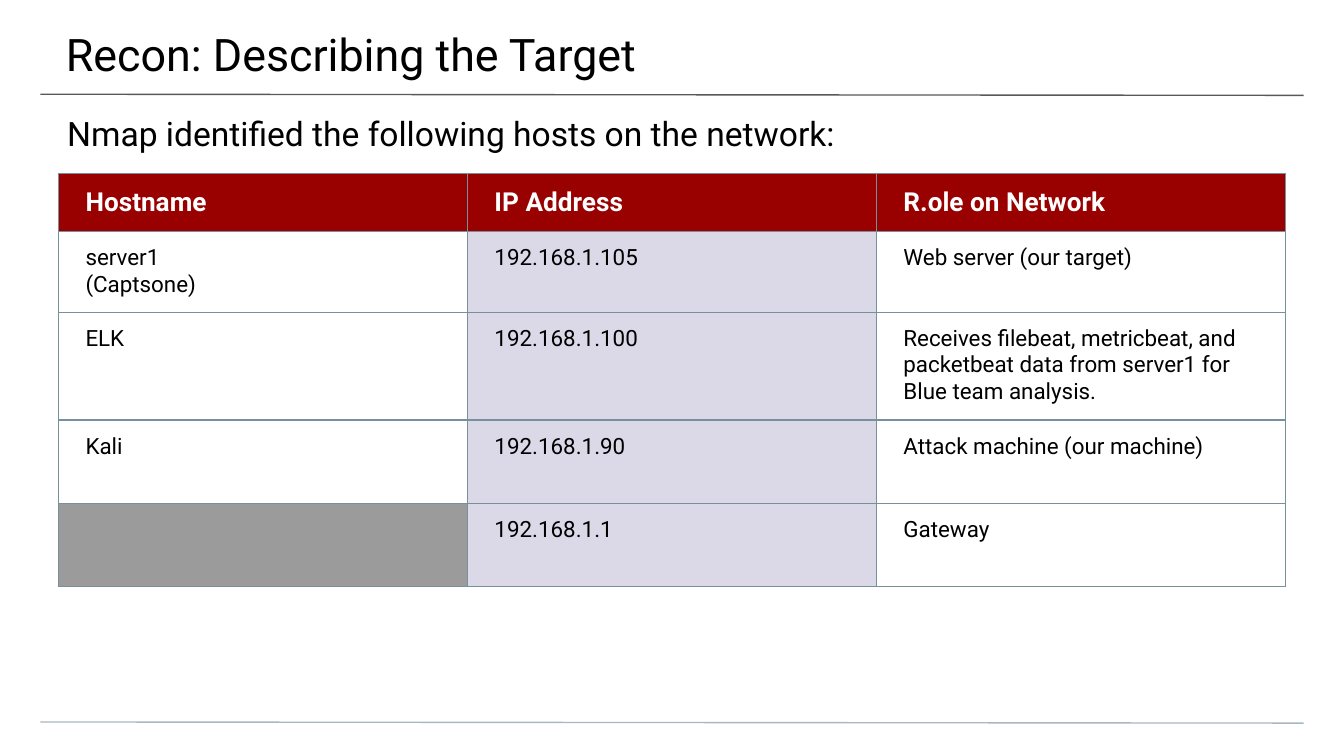
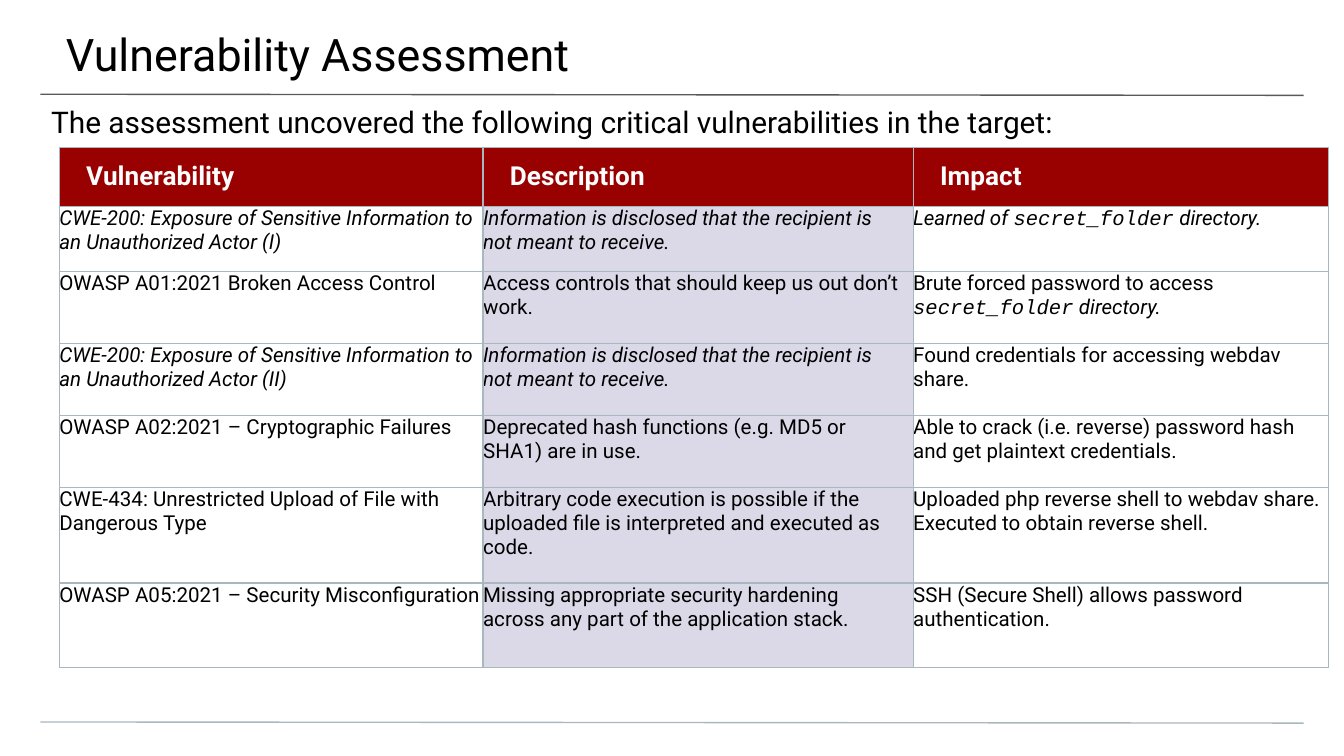
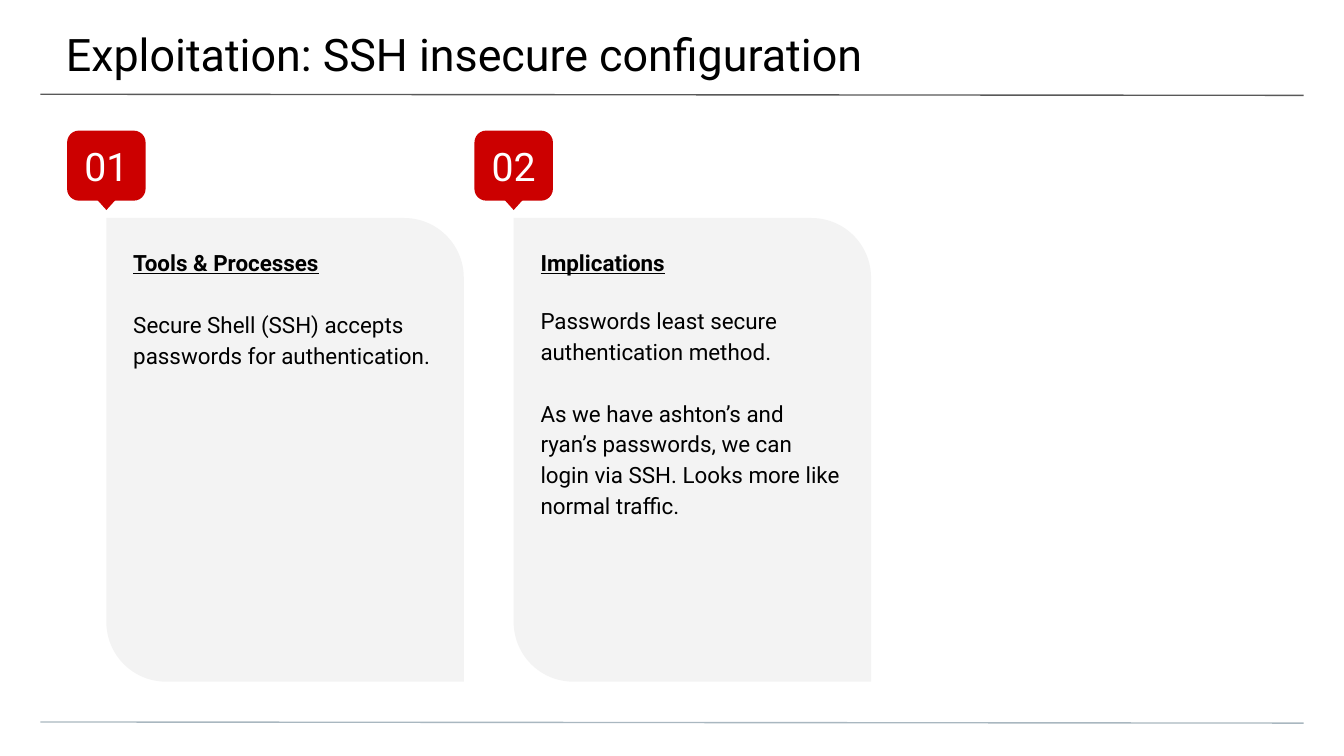
from lxml.etree import SubElement
from pptx import Presentation
from pptx.dml.color import RGBColor
from pptx.enum.shapes import MSO_CONNECTOR, MSO_SHAPE
from pptx.enum.text import MSO_ANCHOR, PP_ALIGN
from pptx.oxml.ns import qn
from pptx.util import Pt

COLORS = {
    "text": "000000", "white": "FFFFFF", "header": "990000", "badge": "CC0000",
    "panel": "F3F3F3", "lilac": "DBD9E8", "gray": "9B9B9B",
    "title_rule": "595959", "pale_rule": "A9B7C0", "slate": "78909C",
}
FONT, CODE_FONT = "Roboto", "Courier New"
CELL_INSET = (14.4, 7.2, 14.4, 7.2)
ITALIC = {"italic": True}
CODE = {"italic": True, "font": CODE_FONT}


def rgb(name):
    return RGBColor.from_string(COLORS[name])


def set_inset(obj, inset):
    """Set left, top, right and bottom margins of a text frame or table cell."""
    obj.margin_left, obj.margin_top, obj.margin_right, obj.margin_bottom = map(Pt, inset)


def add_run(p, text, size=12, color="text", font=FONT, bold=False, italic=False,
            underline=False):
    r = p.add_run()
    r.text = text
    f = r.font
    f.name, f.size, f.bold, f.italic, f.underline = font, Pt(size), bold, italic, underline
    f.color.rgb = rgb(color)


def write(tf, text, align=None, line=None, before=None, **fmt):
    """Add a paragraph; text is a string or a list of (string, format) pieces."""
    p = tf.paragraphs[0]
    if p.runs:
        p = tf.add_paragraph()
    if align is not None:
        p.alignment = align
    if line:
        p.line_spacing = line
    if before:
        p.space_before = Pt(before)
    pieces = [(text, {})] if isinstance(text, str) else text
    for piece, extra in pieces:
        for i, part in enumerate(piece.split("\n")):
            if i:
                p.add_line_break()
            add_run(p, part, **{**fmt, **extra})


def set_borders(cell, color):
    props = cell._tc.get_or_add_tcPr()
    for i, side in enumerate(("a:lnL", "a:lnR", "a:lnT", "a:lnB")):
        ln = props.makeelement(qn(side), {"w": str(Pt(0.75))})
        fill = SubElement(ln, qn("a:solidFill"))
        SubElement(fill, qn("a:srgbClr"), val=COLORS[color])
        props.insert(i, ln)


class Deck:
    def __init__(self):
        self.prs = Presentation()
        self.prs.slide_width, self.prs.slide_height = Pt(720), Pt(405)
        self.s = None

    def new_slide(self, title):
        self.s = self.prs.slides.add_slide(self.prs.slide_layouts[6])
        self.rule(50.5, "title_rule")
        self.rule(386.8, "pale_rule")
        write(self.textbox(-0.7, 0, 722, 42, (36, 14.4, 21.6, 7.2)), title, size=24)

    def rule(self, y, color):
        c = self.s.shapes.add_connector(
            MSO_CONNECTOR.STRAIGHT, Pt(21.6), Pt(y), Pt(698.4), Pt(y + 0.6))
        c.line.color.rgb, c.line.width = rgb(color), Pt(0.75)
        SubElement(c._element.spPr, qn("a:effectLst"))

    def textbox(self, x, y, w, h, inset):
        tf = self.s.shapes.add_textbox(Pt(x), Pt(y), Pt(w), Pt(h)).text_frame
        tf.word_wrap = True
        set_inset(tf, inset)
        return tf

    def subtitle(self, x, y, text, size):
        write(self.textbox(x, y, 720, 30, (36, 7.2, 36, 0)), text, size=size)

    def shape(self, kind, x, y, w, h, color, *adjustments, parent=None):
        sp = (parent or self.s).shapes.add_shape(kind, Pt(x), Pt(y), Pt(w), Pt(h))
        sp.shadow.inherit = False
        sp.fill.solid()
        sp.fill.fore_color.rgb = rgb(color)
        sp.line.fill.background()
        for i, value in enumerate(adjustments):
            sp.adjustments[i] = value
        return sp

    def table(self, x, y, widths, heights, rows, border, size, insets):
        """Draw a table with a red header row and a lilac middle column."""
        t = self.s.shapes.add_table(len(rows), len(widths), Pt(x), Pt(y),
                                    Pt(sum(widths)), Pt(sum(heights))).table
        for column, w in zip(t.columns, widths):
            column.width = Pt(w)
        for i, (row, h) in enumerate(zip(rows, heights)):
            t.rows[i].height = Pt(h)
            for j, text in enumerate(row):
                cell = t.cell(i, j)
                set_inset(cell, insets[j] if i else CELL_INSET)
                if i == 0:
                    fill = "header"
                    cell.vertical_anchor = MSO_ANCHOR.MIDDLE
                    write(cell.text_frame, text, size=14, color="white", bold=True)
                else:
                    fill = "lilac" if j == 1 else "white" if text else "gray"
                    if text:
                        write(cell.text_frame, text, size=size)
                cell.fill.solid()
                cell.fill.fore_color.rgb = rgb(fill)
                set_borders(cell, border)

    def badge(self, x, y, number):
        group = self.s.shapes.add_group_shape()
        box = self.shape(MSO_SHAPE.ROUNDED_RECTANGLE, x, y, 42, 37.5, "badge", 0.167,
                         parent=group)
        pointer = self.shape(MSO_SHAPE.FLOWCHART_EXTRACT, x + 10.6, y + 31, 20.8, 11.5,
                             "badge", parent=group)
        pointer.rotation = 180
        tf = box.text_frame
        set_inset(tf, (7.2,) * 4)
        tf.vertical_anchor = MSO_ANCHOR.MIDDLE
        write(tf, number, align=PP_ALIGN.CENTER, size=21, color="white")

    def card(self, x, number, heading, paragraphs):
        """Draw a numbered panel; paragraphs holds (space before, text) pairs."""
        box = (x + 21, 116.8, 191.5, 248.4)
        self.shape(MSO_SHAPE.ROUND_2_DIAG_RECTANGLE, *box, "panel", 0, 0.167)
        tf = self.textbox(*box, (14.4,) * 4)
        write(tf, heading, line=1.15, bold=True, underline=True)
        for before, text in paragraphs:
            write(tf, text, line=1.15, before=before)
        self.badge(x, 70, number)


def hosts_slide(deck):
    deck.new_slide("Recon: Describing the Target")
    deck.subtitle(0, 53.3, "Nmap identified the following hosts on the network:", 18)
    rows = [
        ("Hostname", "IP Address", "R.ole on Network"),
        ("server1\n(Captsone)", "192.168.1.105", "Web server (our target)"),
        ("ELK", "192.168.1.100", "Receives filebeat, metricbeat, and packetbeat data "
                                 "from server1 for Blue team analysis."),
        ("Kali", "192.168.1.90", "Attack machine (our machine)"),
        ("", "192.168.1.1", "Gateway"),
    ]
    deck.table(31.4, 92.9, [219.1] * 3, [31, 42.5, 56.5, 44.7, 44.7], rows, "slate", 12,
               [CELL_INSET] * 3)


def vulnerabilities_slide(deck):
    deck.new_slide("Vulnerability Assessment")
    deck.subtitle(-8.6, 48.2, "The assessment uncovered the following critical "
                              "vulnerabilities in the target:", 16)
    exposure = "CWE-200: Exposure of Sensitive Information to an Unauthorized Actor "
    disclosed = [("Information is disclosed that the recipient is not meant to receive.",
                  ITALIC)]
    folder = [("secret_folder", CODE), (" directory.", ITALIC)]
    rows = [
        ("Vulnerability", "Description", "Impact"),
        ([(exposure + "(I)", ITALIC)], disclosed, [("Learned of ", ITALIC), *folder]),
        ("OWASP A01:2021 Broken Access Control",
         "Access controls that should keep us out don’t work.",
         [("Brute forced password to access ", {}), *folder]),
        ([(exposure + "(II)", ITALIC)], disclosed,
         "Found credentials for accessing webdav share."),
        ("OWASP A02:2021 – Cryptographic Failures",
         "Deprecated hash functions (e.g. MD5 or SHA1) are in use.",
         "Able to crack (i.e. reverse) password hash and get plaintext credentials."),
        ("CWE-434: Unrestricted Upload of File with Dangerous Type",
         "Arbitrary code execution is possible if the uploaded file is interpreted "
         "and executed as code.",
         "Uploaded php reverse shell to webdav share. Executed to obtain reverse shell."),
        ("OWASP A05:2021 – Security Misconfiguration",
         "Missing appropriate security hardening across any part of the application stack.",
         "SSH (Secure Shell) allows password authentication."),
    ]
    flush = (0, 0, 0, 0)
    deck.table(31.8, 79.2, [227, 230.4, 222.4], [31, 35.2, 38.6, 38.6, 38.6, 51, 45.4],
               rows, "pale_rule", 11, [flush, (0, 0, 7.2, 0), flush])


def ssh_slide(deck):
    deck.new_slide("Exploitation: SSH insecure configuration")
    cards = [
        ("Tools & Processes",
         [(16.6, "Secure Shell (SSH) accepts passwords for authentication.")]),
        ("Implications",
         [(14.5, "Passwords least secure authentication method."),
          (16.6, "As we have ashton’s and ryan’s passwords, we can login via SSH. "
                 "Looks more like normal traffic.")]),
    ]
    for i, (heading, paragraphs) in enumerate(cards):
        deck.card(36 + 218.2 * i, f"{i + 1:02}", heading, paragraphs)


def main():
    deck = Deck()
    hosts_slide(deck)
    vulnerabilities_slide(deck)
    ssh_slide(deck)
    deck.prs.save("out.pptx")


if __name__ == "__main__":
    main()
